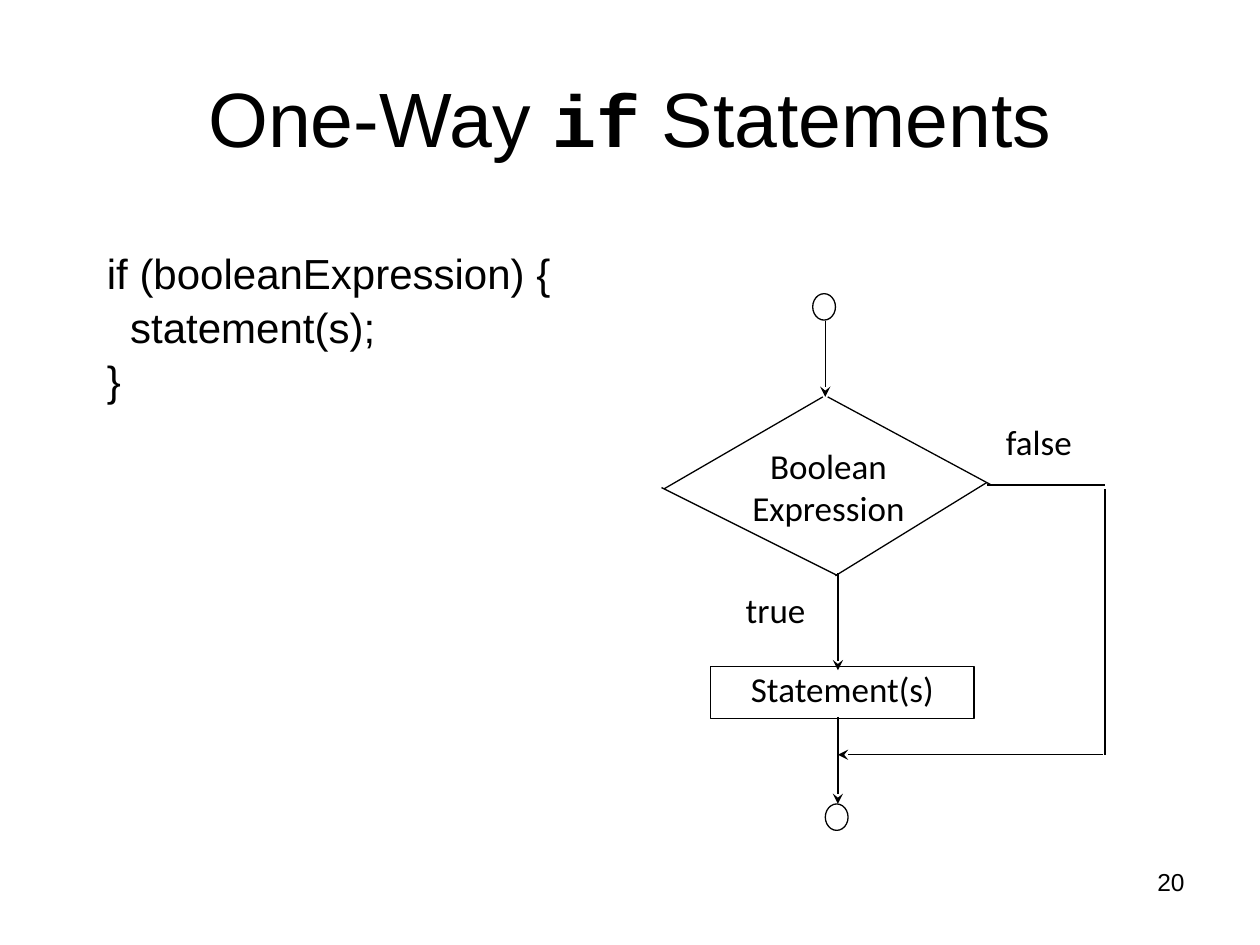
from lxml.etree import SubElement
from pptx import Presentation
from pptx.dml.color import RGBColor
from pptx.enum.shapes import MSO_CONNECTOR, MSO_SHAPE
from pptx.enum.text import MSO_ANCHOR as ANCHOR, PP_ALIGN as ALIGN
from pptx.oxml.ns import qn
from pptx.util import Pt

BLACK = RGBColor(0, 0, 0)
WHITE = RGBColor(255, 255, 255)


class FlowSlide:
    body_font = "Arial"
    label_font = "Calibri"
    code_font = "Courier New"
    label_size = 20
    line_width = 0.75
    node_size = (13, 15.1)

    def __init__(self, slide):
        self.shapes = slide.shapes

    def style(self, run, font, size, bold=False):
        run.font.name = font
        run.font.size = Pt(size)
        run.font.bold = bold
        run.font.color.rgb = BLACK

    def text(self, words, left, top, width, height, size, align=ALIGN.LEFT, space=0):
        box = self.shapes.add_textbox(Pt(left), Pt(top), Pt(width), Pt(height))
        frame = box.text_frame
        frame.word_wrap = True
        frame.text = words
        for index, paragraph in enumerate(frame.paragraphs):
            paragraph.alignment = align
            paragraph.space_before = Pt(space if index else 0)
            for run in paragraph.runs:
                self.style(run, self.body_font, size)
        return frame

    def title(self, before, keyword, after):
        frame = self.text(before, 36, 21.6, 648, 90, 44, ALIGN.CENTER)
        frame.vertical_anchor = ANCHOR.MIDDLE
        heading = frame.paragraphs[0]
        for words, font, size, bold in ((keyword, self.code_font, 42, True),
                                        (after, self.body_font, 44, False)):
            run = heading.add_run()
            run.text = words
            self.style(run, font, size, bold)

    def outline(self, kind, left, top, width, height, line):
        shape = self.shapes.add_shape(kind, Pt(left), Pt(top), Pt(width), Pt(height))
        shape.shadow.inherit = False
        shape.fill.solid()
        shape.fill.fore_color.rgb = WHITE
        shape.line.color.rgb = line
        shape.line.width = Pt(self.line_width)
        return shape

    def node(self, left, top):
        self.outline(MSO_SHAPE.OVAL, left, top, *self.node_size, BLACK)

    def label(self, words, left, top, width, height, line=WHITE):
        frame = self.outline(MSO_SHAPE.RECTANGLE, left, top, width, height, line).text_frame
        frame.margin_left = frame.margin_right = Pt(0.72)
        frame.margin_top = frame.margin_bottom = Pt(0.72)
        frame.vertical_anchor = ANCHOR.TOP
        frame.word_wrap = True
        frame.text = words
        for paragraph in frame.paragraphs:
            paragraph.alignment = ALIGN.CENTER
            for run in paragraph.runs:
                self.style(run, self.label_font, self.label_size)

    def line(self, x1, y1, x2, y2, arrow=False):
        edge = self.shapes.add_connector(
            MSO_CONNECTOR.STRAIGHT, Pt(x1), Pt(y1), Pt(x2), Pt(y2))
        edge.line.color.rgb = BLACK
        edge.line.width = Pt(self.line_width)
        if arrow:
            SubElement(edge.line._get_or_add_ln(), qn("a:tailEnd"), type="stealth")
        SubElement(edge._element.spPr, qn("a:effectLst"))


def main():
    deck = Presentation()
    deck.slide_width, deck.slide_height = Pt(720), Pt(540)
    flow = FlowSlide(deck.slides.add_slide(deck.slide_layouts[6]))

    flow.title("One-Way ", "if", " Statements")
    flow.text("if (booleanExpression) {\n  statement(s);\n}",
              54, 138.2, 606.2, 72, 24, space=1.7)

    trunk, bypass = 478.8, 631.4
    decision_y, merge_y = 277.2, 431.3

    flow.node(464.4, 167.8)
    flow.label("Boolean\nExpression", 411.1, 253.4, 124.6, 56.2)
    diamond_sides = (
        (470.2, 226.8, 379.4, 279.4),
        (563.8, 275.8, 477.4, 329),
        (473, 226.8, 566.6, decision_y),
        (378, 278.6, trunk, 329),
    )
    for side in diamond_sides:
        flow.line(*side)
    flow.line(471.6, 183.6, 471.6, 226.8, arrow=True)

    flow.label("true", 417.6, 335.5, 51.1, 28.1)
    flow.label("Statement(s)", 406.1, 380.9, 150.5, 29.5, BLACK)
    flow.line(trunk, 327.6, trunk, 383, arrow=True)

    flow.line(bypass, decision_y, 563.8, decision_y)
    flow.label("false", 565.2, 239.8, 56.9, 28.1)
    flow.line(bypass, 279.4, bypass, merge_y)
    flow.line(630, merge_y, trunk, merge_y, arrow=True)

    flow.line(trunk, 409.7, trunk, 459.4, arrow=True)
    flow.node(471.6, 459.4)

    flow.text("20", 516.2, 491.8, 167.8, 37.4, 14, ALIGN.RIGHT)
    deck.save("out.pptx")


if __name__ == "__main__":
    main()
